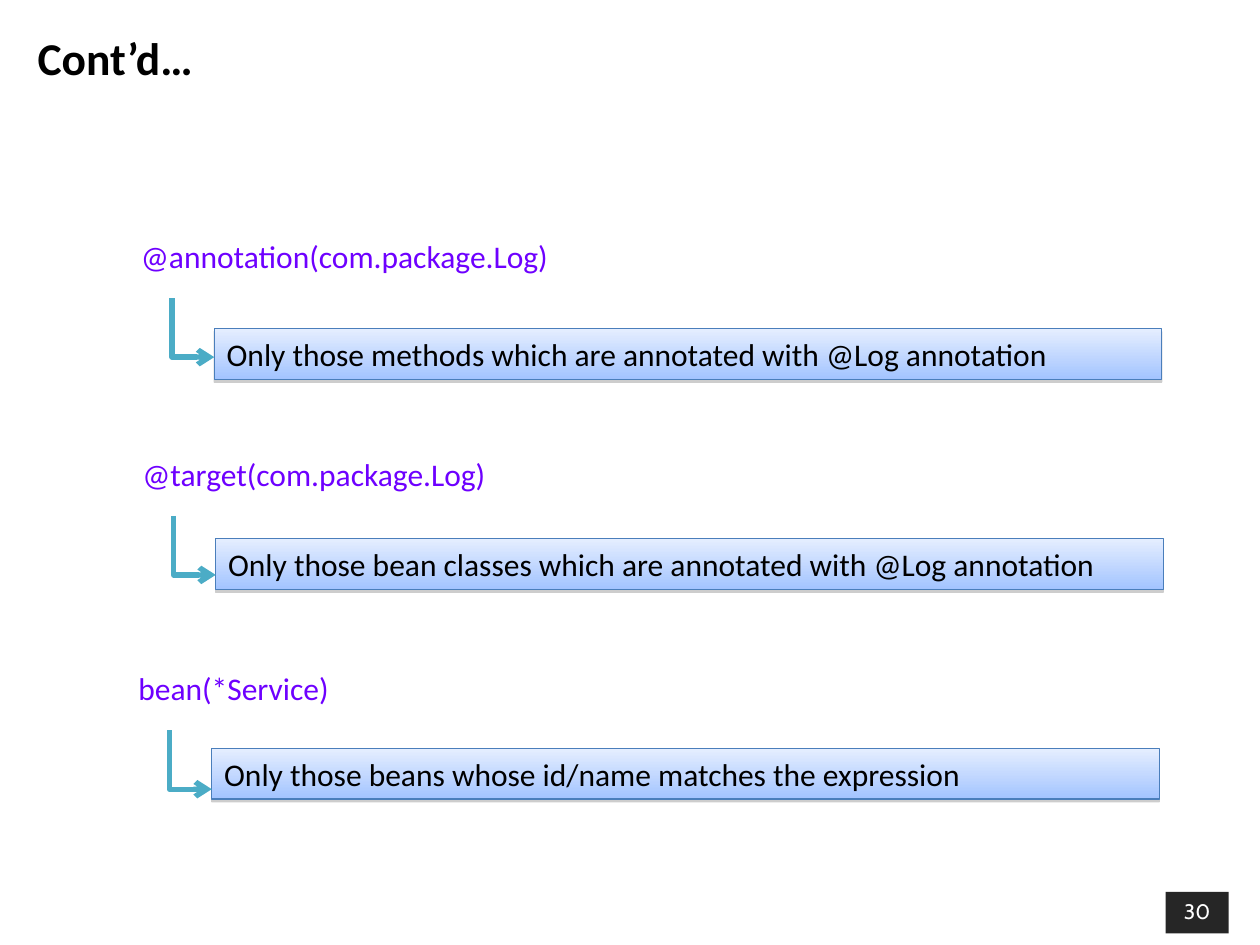
from lxml import etree
from pptx import Presentation
from pptx.dml.color import RGBColor
from pptx.enum.shapes import MSO_CONNECTOR, MSO_SHAPE
from pptx.enum.text import MSO_ANCHOR, PP_ALIGN
from pptx.oxml.ns import qn
from pptx.util import Cm, Pt

RECTANGLE = MSO_SHAPE.RECTANGLE
ELBOW = MSO_CONNECTOR.ELBOW
LEFT, CENTER = PP_ALIGN.LEFT, PP_ALIGN.CENTER
TOP, MIDDLE = MSO_ANCHOR.TOP, MSO_ANCHOR.MIDDLE

COLORS = {
    "black": "000000",
    "white": "FFFFFF",
    "badge": "262626",
    "expression": "6E00FF",
    "arrow": "4BACC6",
    "box_light": "E5EEFF",
    "box_dark": "A3C4FF",
    "box_edge": "4A7EBB",
    "shadow": "808080",
}

POINTCUTS = [
    (2.59, 4.65, "@annotation(com.package.Log)",
     "Only methods".replace("Only", "Only those") + " which are annotated with @Log annotation"),
    (2.62, 9.04, "@target(com.package.Log)",
     "Only those bean classes which are annotated with @Log annotation"),
    (2.54, 13.36, "bean(*Service)",
     "Only those beans whose id/name matches the expression"),
]
FIRST_BOX_TOP, BOX_PITCH, BOX_INDENT = 6.63, 4.23, 1.73
ARROW_INDENT, ARROW_DROP = 0.88, 1.36
ARROW_WIDTH, ARROW_HEIGHT = 0.85, 1.19


def rgb(name):
    """Return the named colour."""
    return RGBColor.from_string(COLORS[name])


def write(shape, text, size=18, font="Calibri", color="black", bold=False,
          align=LEFT, anchor=TOP):
    """Put formatted text into a shape."""
    frame = shape.text_frame
    frame.word_wrap = True
    frame.vertical_anchor = anchor
    paragraph = frame.paragraphs[0]
    paragraph.alignment = align
    run = paragraph.add_run()
    run.text = text
    run.font.size = Pt(size)
    run.font.name = font
    run.font.bold = bold
    run.font.color.rgb = rgb(color)


def add_label(slide, left, top, width, height, text, **text_format):
    """Add a text box without fill."""
    label = slide.shapes.add_textbox(Cm(left), Cm(top), Cm(width), Cm(height))
    write(label, text, **text_format)


def add_rectangle(slide, left, top, width, height):
    """Add a rectangle without a theme shadow."""
    rectangle = slide.shapes.add_shape(RECTANGLE, Cm(left), Cm(top), Cm(width), Cm(height))
    rectangle.shadow.inherit = False
    return rectangle


def add_explanation(slide, left, top, text):
    """Add a shaded box that explains an expression."""
    box = add_rectangle(slide, left, top, 19.1, 1.02)
    box.fill.gradient()
    box.fill.gradient_angle = 270
    for stop, position, name in zip(box.fill.gradient_stops, (0, 1), ("box_light", "box_dark")):
        stop.position = position
        stop.color.rgb = rgb(name)
    box.line.color.rgb = rgb("box_edge")
    box.line.width = Pt(0.75)
    effects = box.element.spPr.find(qn("a:effectLst"))
    shadow = etree.SubElement(effects, qn("a:outerShdw"), blurRad="0", dist=str(Pt(1.6)),
                              dir="5400000", rotWithShape="0")
    shade = etree.SubElement(shadow, qn("a:srgbClr"), val=COLORS["shadow"])
    etree.SubElement(shade, qn("a:alpha"), val="38000")
    write(box, text)


def add_elbow_arrow(slide, left, top):
    """Add an arrow that runs down and then right."""
    center_x, center_y = left + ARROW_WIDTH / 2, top + ARROW_HEIGHT / 2
    arrow = slide.shapes.add_connector(
        ELBOW,
        Cm(center_x + ARROW_HEIGHT / 2), Cm(center_y - ARROW_WIDTH / 2),
        Cm(center_x - ARROW_HEIGHT / 2), Cm(center_y + ARROW_WIDTH / 2))
    arrow.line.color.rgb = rgb("arrow")
    arrow.line.width = Pt(3)
    properties = arrow.element.spPr
    properties.find(qn("a:xfrm")).set("rot", "16200000")
    properties.find(qn("a:prstGeom")).set("prst", "bentConnector2")
    etree.SubElement(properties.find(qn("a:ln")), qn("a:tailEnd"), type="arrow")
    etree.SubElement(properties, qn("a:effectLst"))


def add_page_number(slide, number):
    """Add the dark badge with the page number."""
    badge = add_rectangle(slide, 23.5, 17.98, 1.27, 0.84)
    badge.fill.solid()
    badge.fill.fore_color.rgb = rgb("badge")
    badge.line.fill.background()
    write(badge, number, size=12, font="Cabin", color="white", align=CENTER)


def main():
    """Build and save the slide."""
    deck = Presentation()
    deck.slide_width, deck.slide_height = Cm(25.4), Cm(19.05)
    slide = deck.slides.add_slide(deck.slide_layouts[6])
    add_page_number(slide, "30")
    add_label(slide, 0.51, 0.38, 24.51, 1.55, "Cont’d…", size=26, bold=True, anchor=MIDDLE)
    for row, (left, top, expression, meaning) in enumerate(POINTCUTS):
        add_label(slide, left, top, 20.83, 1.02, expression, color="expression")
        add_explanation(slide, left + BOX_INDENT, FIRST_BOX_TOP + row * BOX_PITCH, meaning)
        add_elbow_arrow(slide, left + ARROW_INDENT, top + ARROW_DROP)
    deck.save("out.pptx")


if __name__ == "__main__":
    main()
